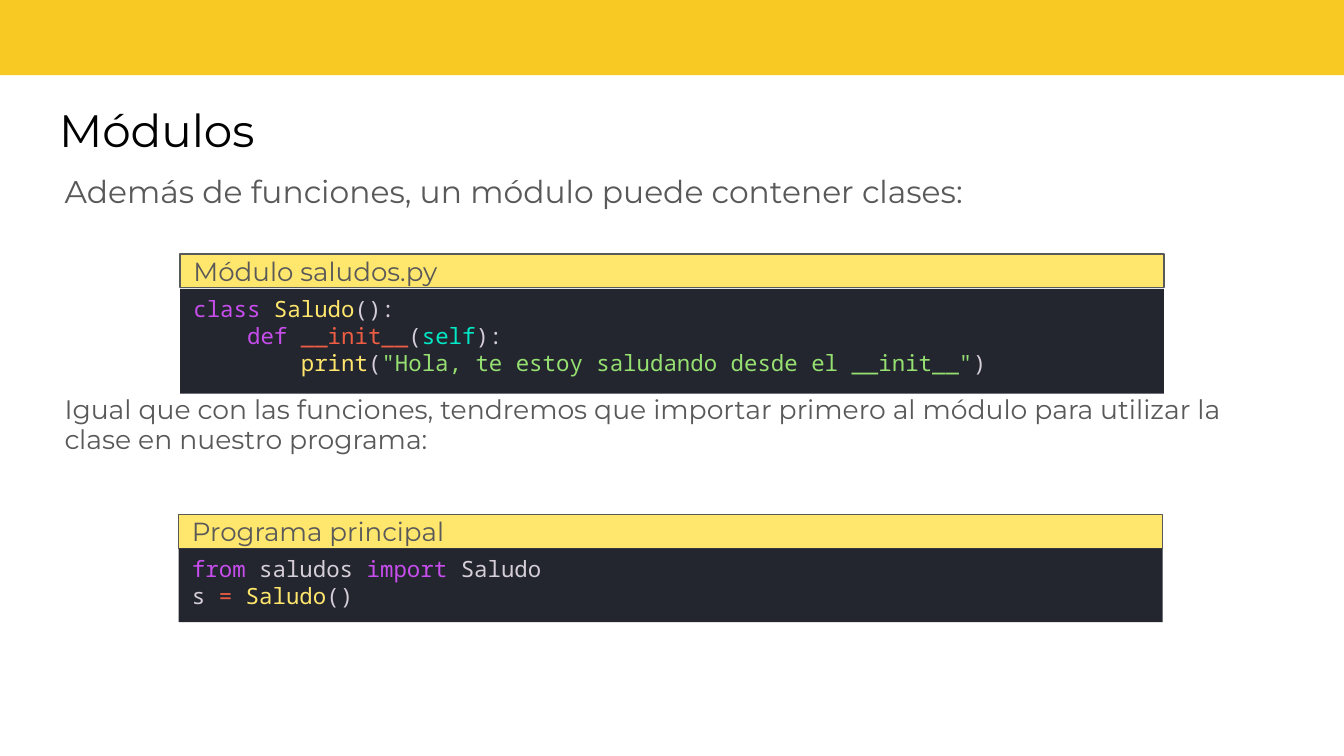
from pptx import Presentation
from pptx.dml.color import RGBColor
from pptx.enum.shapes import MSO_SHAPE
from pptx.enum.text import MSO_ANCHOR, MSO_AUTO_SIZE, PP_ALIGN
from pptx.util import Inches, Pt

RECTANGLE = MSO_SHAPE.RECTANGLE
TOP, MIDDLE = MSO_ANCHOR.TOP, MSO_ANCHOR.MIDDLE
LEFT = PP_ALIGN.LEFT
NO_AUTOFIT = MSO_AUTO_SIZE.NONE

THEME = {
    "fonts": {"text": "Montserrat", "code": "Noto Sans Mono"},
    "sizes": {"title": 24.3, "intro": 16.8, "note": 14.3, "header": 14, "code": 12},
    "colors": {
        "band": "F8C823", "title": "000000", "text": "595959",
        "header": "FFE66D", "panel": "23262E",
        "keyword": "C74DED", "name": "FFE66D", "plain": "D5CED9",
        "special": "EE5D43", "self": "00E8C6", "string": "96E072",
    },
}

# Content
TITLE = "Módulos"
# text, size name, line spacing, top, height
BODY_TEXTS = [
    ("Además de funciones, un módulo puede contener clases:",
     "intro", 1.15, 1.14, 3.58),
    ("Igual que con las funciones, tendremos que importar primero al módulo "
     "para utilizar la clase en nuestro programa:",
     "note", 0.95, 2.84, 0.83),
]
# Each code line is a list of (text, color name)
CODE_BLOCKS = [
    {
        "header": "Módulo saludos.py", "left": 1.34, "top": 1.89,
        "gap": 0.01, "height": 0.78,
        "lines": [
            [("class ", "keyword"), ("Saludo", "name"), ("():", "plain")],
            [("    ", "plain"), ("def ", "keyword"), ("__init__", "special"),
             ("(", "plain"), ("self", "self"), ("):", "plain")],
            [("        ", "plain"), ("print", "name"), ("(", "plain"),
             ('"Hola, te estoy saludando desde el __init__"', "string"),
             (")", "plain")],
        ],
    },
    {
        "header": "Programa principal", "left": 1.33, "top": 3.83,
        "gap": 0, "height": 0.55,
        "lines": [
            [("from", "keyword"), (" saludos ", "plain"),
             ("import", "keyword"), (" Saludo", "plain")],
            [("s ", "plain"), ("= ", "special"), ("Saludo", "name"),
             ("()", "plain")],
        ],
    },
]

# Layout, on a 16:9 slide
SLIDE_WIDTH = 10
SLIDE_HEIGHT = SLIDE_WIDTH * 9 / 16
BAND_HEIGHT = 0.56
BODY_LEFT, BODY_WIDTH = 0.48, 9.05
BLOCK_WIDTH, HEADER_HEIGHT = 7.32, 0.25


def color(name):
    return RGBColor.from_string(THEME["colors"][name])


def write(shape, lines, size, font="text", anchor=TOP, margins=(0.1, 0.05),
          spacing=1.0):
    frame = shape.text_frame
    frame.word_wrap = True
    frame.auto_size = NO_AUTOFIT
    frame.vertical_anchor = anchor
    frame.margin_left = frame.margin_right = Inches(margins[0])
    frame.margin_top = frame.margin_bottom = Inches(margins[1])
    for index, line in enumerate(lines):
        paragraph = frame.add_paragraph() if index else frame.paragraphs[0]
        paragraph.alignment = LEFT
        paragraph.line_spacing = spacing
        for text, color_name in line:
            run = paragraph.add_run()
            run.text = text
            run.font.name = THEME["fonts"][font]
            run.font.size = Pt(THEME["sizes"][size])
            run.font.color.rgb = color(color_name)


def add_rectangle(slide, left, top, width, height, fill, line=None):
    shape = slide.shapes.add_shape(
        RECTANGLE, Inches(left), Inches(top), Inches(width), Inches(height))
    shape.shadow.inherit = False
    shape.fill.solid()
    shape.fill.fore_color.rgb = color(fill)
    if line:
        shape.line.color.rgb = color(line)
        shape.line.width = Pt(0.75)
    else:
        shape.line.fill.background()
    return shape


def add_code_block(slide, block):
    left, top = block["left"], block["top"]
    header = add_rectangle(slide, left, top, BLOCK_WIDTH, HEADER_HEIGHT,
                           "header", "text")
    write(header, [[(block["header"], "text")]], "header", anchor=MIDDLE)
    panel = add_rectangle(slide, left, top + HEADER_HEIGHT + block["gap"],
                          BLOCK_WIDTH, block["height"], "panel")
    write(panel, block["lines"], "code", font="code")


def main():
    presentation = Presentation()
    presentation.slide_width = Inches(SLIDE_WIDTH)
    presentation.slide_height = Inches(SLIDE_HEIGHT)
    slide = presentation.slides.add_slide(presentation.slide_layouts[5])

    # Top band and title
    add_rectangle(slide, 0, 0, SLIDE_WIDTH, BAND_HEIGHT, "band")
    title = slide.shapes.title
    title.left, title.top = Inches(0.34), Inches(0.65)
    title.width, title.height = Inches(9.3), Inches(0.63)
    write(title, [[(TITLE, "title")]], "title", anchor=MIDDLE, margins=(0.1, 0.1))

    # Explanations
    for text, size, spacing, top, height in BODY_TEXTS:
        box = slide.shapes.add_textbox(
            Inches(BODY_LEFT), Inches(top), Inches(BODY_WIDTH), Inches(height))
        write(box, [[(text, "text")]], size, margins=(0, 0.1), spacing=spacing)

    # Code examples
    for block in CODE_BLOCKS:
        add_code_block(slide, block)

    presentation.save("out.pptx")


if __name__ == "__main__":
    main()
